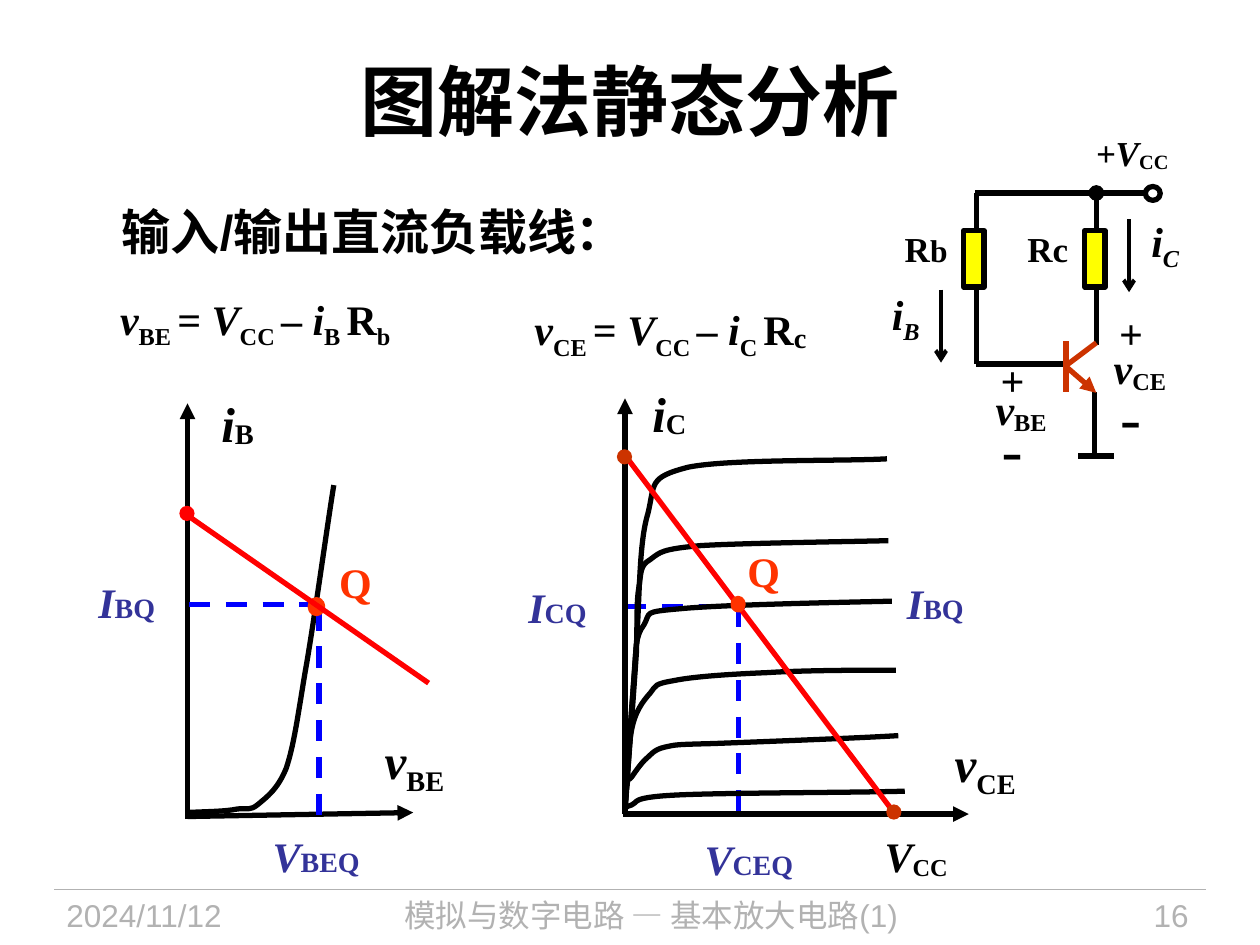
import pptx
import pptx.dml.color
import pptx.enum.dml
import pptx.enum.shapes
import pptx.enum.text
import pptx.oxml.ns
import pptx.util
from lxml import etree

Cm = pptx.util.Cm
qn = pptx.oxml.ns.qn
ALIGN = pptx.enum.text.PP_ALIGN
ANCHOR = pptx.enum.text.MSO_ANCHOR
SHAPE = pptx.enum.shapes.MSO_SHAPE

COLOURS = {
    "ink": "000000", "footer": "B2B2B2", "load": "FF0000", "guide": "0000FF",
    "quiescent": "333399", "point": "FF3300", "end": "CC3300", "resistor": "FFFF00",
}
SERIF = "Times New Roman"
SANS = "Arial"


def rgb(name):
    return pptx.dml.color.RGBColor.from_string(COLOURS[name])


def run(text, size=24, italic=False, base=0, bold=True):
    return {"text": text, "size": size, "italic": italic, "base": base, "bold": bold}


def symbol(letter, subscript, size=24, sub_size=None, base=0, sub_italic=False):
    return [run(letter, size, True), run(subscript, sub_size or size, sub_italic, base)]


class Region:
    """Draws parts relative to the top left corner of a box, in centimetres."""

    def __init__(self, slide, left, top):
        self.shapes, self.left, self.top = slide.shapes, left, top

    def at(self, x, y):
        return Cm(self.left + x), Cm(self.top + y)

    def line(self, start, end, colour="ink", width=3, dashed=False, head=None, tail=None):
        connector = self.shapes.add_connector(
            pptx.enum.shapes.MSO_CONNECTOR.STRAIGHT, *self.at(*start), *self.at(*end))
        connector.line.color.rgb = rgb(colour)
        connector.line.width = pptx.util.Pt(width)
        if dashed:
            connector.line.dash_style = pptx.enum.dml.MSO_LINE.DASH
        properties = connector._element.spPr
        for tag, kind in (("a:headEnd", head), ("a:tailEnd", tail)):
            if kind:
                etree.SubElement(properties.find(qn("a:ln")), qn(tag), type=kind)
        etree.SubElement(properties, qn("a:effectLst"))

    def shape(self, kind, x, y, width, height, fill=None, line="ink", line_width=3):
        shape = self.shapes.add_shape(kind, *self.at(x, y), Cm(width), Cm(height))
        shape.shadow.inherit = False
        if fill:
            shape.fill.solid()
            shape.fill.fore_color.rgb = rgb(fill)
        else:
            shape.fill.background()
        shape.line.color.rgb = rgb(line)
        shape.line.width = pptx.util.Pt(line_width)

    def dot(self, x, y, colour, width=0.28, height=0.28, line_width=0.75):
        self.shape(SHAPE.OVAL, x - width / 2, y - height / 2, width, height,
                   colour, colour, line_width)

    def curve(self, points):
        """Cubic curve: a start point, then three points for each segment."""
        start, *others = [self.at(*point) for point in points]
        builder = self.shapes.build_freeform(*start, scale=1.0)
        builder.add_line_segments(others, close=False)
        shape = builder.convert_to_shape()
        shape.shadow.inherit = False
        shape.fill.background()
        shape.line.color.rgb = rgb("ink")
        shape.line.width = pptx.util.Pt(3)
        outline = next(shape._element.iter(qn("a:path")))
        segments = outline.findall(qn("a:lnTo"))
        for first in range(0, len(segments), 3):
            bezier = etree.SubElement(outline, qn("a:cubicBezTo"))
            for segment in segments[first:first + 3]:
                bezier.append(segment[0])
                outline.remove(segment)

    def text(self, x, y, width, height, runs, colour="ink", font=SERIF, align=ALIGN.CENTER,
             anchor=ANCHOR.MIDDLE, wrap=False, inset=(0.25, 0.13), top_inset=None, spacing=None):
        box = self.shapes.add_textbox(*self.at(x, y), Cm(width), Cm(height))
        frame = box.text_frame
        side, end = inset
        settings = {
            "word_wrap": wrap, "vertical_anchor": anchor,
            "margin_left": Cm(side), "margin_right": Cm(side), "margin_bottom": Cm(end),
            "margin_top": Cm(end if top_inset is None else top_inset),
        }
        for name, value in settings.items():
            setattr(frame, name, value)
        paragraph = frame.paragraphs[0]
        paragraph.alignment = align
        if spacing:
            paragraph.line_spacing = spacing
        for part in runs:
            piece = paragraph.add_run()
            piece.text = part["text"]
            formats = {"name": font, "size": pptx.util.Pt(part["size"]),
                       "bold": part["bold"], "italic": part["italic"]}
            for name, value in formats.items():
                setattr(piece.font, name, value)
            piece.font.color.rgb = rgb(colour)
            if part["base"]:
                piece._r.get_or_add_rPr().set("baseline", str(part["base"] * 1000))


def add_heading(slide, left, top):
    region = Region(slide, left, top)
    region.text(0, 0, 22.86, 3.18, [run("图解法静态分析", 44)], font=SANS, wrap=True)
    region.text(0.94, 3.51, 12.9, 1.45, [run("输入/输出直流负载线：", 28)], font=SANS,
                align=ALIGN.LEFT, anchor=ANCHOR.TOP, wrap=True)


def add_equations(slide, left, top):
    region = Region(slide, left, top)
    equations = [
        (0, 0, 7.19, 2.11, "BE ", "B ", run("b", base=-25)),
        (8.56, 0.46, 6.81, 1.45, "CE ", "C ", run("c", 28, base=-5)),
    ]
    for x, y, width, height, voltage, current, resistor in equations:
        runs = [*symbol("v", voltage, base=-25), run("= "), *symbol("V", "CC ", base=-25),
                run("– "), *symbol("i", current, base=-25), run("R"), resistor]
        region.text(x, y, width, height, runs, top_inset=0, spacing=1.2)


def add_input_graph(slide, left, top):
    region = Region(slide, left, top)
    # Axes and characteristic
    region.line((2.08, 8.81), (2.08, 0.43), tail="triangle")
    region.line((2.08, 8.76), (6.63, 8.68), tail="triangle")
    region.curve([(2.08, 8.68), (2.47, 8.66), (2.85, 8.66), (3.08, 8.61), (3.3, 8.58),
                  (3.33, 8.66), (3.51, 8.51), (3.66, 8.38), (3.89, 8.23), (4.07, 7.79),
                  (4.22, 7.34), (4.29, 6.83), (4.45, 5.86), (4.62, 4.92), (4.9, 2.87),
                  (5.03, 2.08)])
    # Quiescent point and load line
    region.line((2.11, 4.49), (4.7, 4.49), "guide", dashed=True)
    region.line((4.73, 4.59), (4.73, 8.73), "guide", dashed=True)
    region.dot(4.68, 4.53, "point", 0.25, 0.28, 3)
    region.line((2.11, 2.71), (6.94, 6.07), "load")
    region.dot(2.07, 2.65, "load")
    # Labels
    region.text(2.39, 0.1, 1.4, 1.45, symbol("i", "B", 28, base=-5))
    region.text(5.74, 6.98, 1.83, 1.45, symbol("v", "BE", 28, base=-25))
    region.text(3.53, 8.91, 2.29, 1.3, symbol("V", "BEQ", sub_size=16), "quiescent")
    region.text(0.03, 3.78, 1.65, 1.3, symbol("I", "BQ", sub_size=16), "quiescent")
    region.text(4.88, 3.37, 1.17, 1.3, [run("Q")], "point")


def add_output_graph(slide, left, top):
    region = Region(slide, left, top)
    # Guides, axes and the family of characteristics
    region.line((4.58, 4.72), (4.58, 8.93), "guide", dashed=True)
    region.line((2.3, 4.72), (4.71, 4.72), "guide", dashed=True)
    region.line((2.25, 8.91), (9.23, 8.91), tail="triangle")
    region.line((2.3, 8.91), (2.3, 0.53), tail="triangle")
    family = [
        [(2.3, 8.83), (2.32, 8.83), (2.25, 8.78), (2.43, 8.73), (2.58, 8.68), (2.37, 8.58),
         (3.29, 8.53), (4.2, 8.48), (6.97, 8.48), (7.94, 8.45)],
        [(2.3, 8.86), (2.3, 8.76), (2.32, 8.4), (2.35, 8.27), (2.35, 8.17), (2.37, 8.25),
         (2.43, 8.17), (2.48, 8.1), (2.6, 7.92), (2.7, 7.82), (2.83, 7.71), (2.88, 7.61),
         (3.11, 7.56), (3.34, 7.51), (3.31, 7.51), (4.08, 7.49), (4.86, 7.46), (7.02, 7.38),
         (7.81, 7.33)],
        [(2.3, 8.86), (2.32, 8.58), (2.35, 7.64), (2.43, 7.23), (2.5, 6.85), (2.65, 6.65),
         (2.81, 6.47), (2.93, 6.32), (2.88, 6.29), (3.29, 6.22), (3.67, 6.14), (4.43, 6.09),
         (5.17, 6.06), (5.93, 6.01), (7.23, 6.01), (7.76, 6.01)],
        [(2.3, 8.73), (2.32, 8.32), (2.43, 6.8), (2.48, 6.19), (2.53, 5.58), (2.5, 5.33),
         (2.68, 5.1), (2.83, 4.84), (2.63, 4.84), (3.44, 4.77), (4.28, 4.69), (6.79, 4.64),
         (7.68, 4.62)],
        [(2.3, 8.73), (2.35, 8.22), (2.48, 6.39), (2.53, 5.66), (2.55, 4.92), (2.53, 4.64),
         (2.58, 4.34), (2.63, 4.03), (2.6, 3.9), (2.81, 3.78), (3.01, 3.63), (3.04, 3.57),
         (3.82, 3.5), (4.64, 3.45), (6.82, 3.42), (7.61, 3.4)],
        [(2.3, 8.86), (2.35, 8.27), (2.45, 6.47), (2.53, 5.48), (2.6, 4.49), (2.58, 3.45),
         (2.76, 2.86), (2.91, 2.25), (2.76, 2.13), (3.57, 1.92), (4.38, 1.75), (6.74, 1.8),
         (7.58, 1.75)],
    ]
    for points in family:
        region.curve(points)
    # Load line and quiescent point
    region.line((2.37, 1.77), (7.78, 8.96), "load")
    region.dot(4.58, 4.68, "point", 0.2, 0.23, 3)
    region.dot(2.29, 1.71, "end")
    region.dot(7.72, 8.87, "end")
    # Labels
    region.text(2.6, 0.09, 1.63, 1.45, symbol("i", "C", 28, base=-5), align=ALIGN.LEFT, wrap=True)
    region.text(8.62, 7.23, 1.88, 1.45, symbol("v", "CE", 28, base=-25))
    region.text(3.64, 9.16, 2.31, 1.3, symbol("V", "CEQ", sub_size=16), "quiescent")
    region.text(0.09, 4.08, 1.7, 1.3, symbol("I", "CQ", sub_size=16), "quiescent")
    region.text(7.73, 4.01, 1.65, 1.3, symbol("I", "BQ", sub_size=16), "quiescent")
    region.text(6.95, 9.11, 2.44, 1.3, symbol("V", "CC", base=-10))
    region.text(4.51, 3.35, 1.17, 1.3, [run("Q")], "point")


def add_circuit(slide, left, top):
    region = Region(slide, left, top)
    # Wires: base branch, supply rail, collector, emitter, ground
    region.line((2.08, 1.49), (2.08, 4.94))
    region.line((2.06, 1.49), (5.51, 1.49))
    region.line((2.08, 4.94), (3.94, 4.94))
    region.line((4.5, 1.49), (4.5, 4.56), head="oval")
    region.line((4.47, 5.5), (4.47, 6.79))
    region.line((4.14, 6.79), (4.85, 6.79))
    # Transistor
    region.line((3.89, 4.48), (3.89, 5.5), "end")
    region.line((3.89, 4.99), (4.5, 5.52), "end", tail="triangle")
    region.line((3.89, 4.97), (4.5, 4.51), "end")
    # Resistors and supply terminal
    for x in (1.83, 4.27):
        region.shape(SHAPE.RECTANGLE, x, 2.25, 0.41, 1.14, "resistor")
    region.shape(SHAPE.OVAL, 5.49, 1.36, 0.3, 0.28)
    # Current arrows
    for x, y in ((5.16, 2.02), (1.37, 3.44)):
        region.line((x, y), (x, y + 1.47), width=2.25, tail="arrow")
    # Labels
    region.text(0.36, 2.05, 1.42, 1.12, [run("R", 20), run("b", 18)])
    region.text(2.85, 2.05, 1.35, 1.12, [run("Rc", 20)])
    region.text(4.24, 0.11, 2.08, 1.12, symbol("+V", "CC", 20, base=-10), align=ALIGN.LEFT)
    region.text(5.36, 1.87, 1.42, 1.3, symbol("i", "C", base=-25, sub_italic=True),
                align=ALIGN.LEFT, wrap=True)
    region.text(0.1, 3.34, 1.12, 1.3, symbol("i", "B", base=-25, sub_italic=True))
    # Voltage polarities
    voltages = [("CE", (4.96, 3.8), (4.85, 4.53), (4.98, 5.22)),
                ("BE", (2.57, 4.74), (2.47, 5.35), (2.59, 5.85))]
    for name, plus, value, minus in voltages:
        for place, width, height, runs in (
                (plus, 0.48, 1.02, [run("+")]),
                (value, 1.17, 1.02, symbol("v", name, base=-15)),
                (minus, 0.43, 1.52, [run("-", 36, bold=False)])):
            region.text(*place, width, height, runs, align=ALIGN.LEFT, inset=(0, 0))


def add_footer(slide, left, top):
    region = Region(slide, left, top)
    region.line((0, 0), (23.22, 0), "footer", 0.75)
    for x, width, words, align in ((0, 4.78, "2024/11/12", ALIGN.LEFT),
                                   (5.23, 13.61, "模拟与数字电路 — 基本放大电路(1)", ALIGN.CENTER),
                                   (19.74, 3.38, "16", ALIGN.RIGHT)):
        region.text(x, 0, width, 1.12, [run(words, 18, bold=False)], "footer", SANS, align,
                    ANCHOR.TOP, wrap=True)


def main():
    presentation = pptx.Presentation()
    presentation.slide_width, presentation.slide_height = Cm(25.4), Cm(19.05)
    slide = presentation.slides.add_slide(presentation.slide_layouts[6])
    add_footer(slide, 1.09, 17.93)
    add_heading(slide, 1.27, 0.43)
    add_input_graph(slide, 1.7, 7.7)
    add_output_graph(slide, 10.3, 7.5)
    add_equations(slide, 1.55, 5.38)
    add_circuit(slide, 17.6, 2.4)
    presentation.save("out.pptx")


if __name__ == "__main__":
    main()
